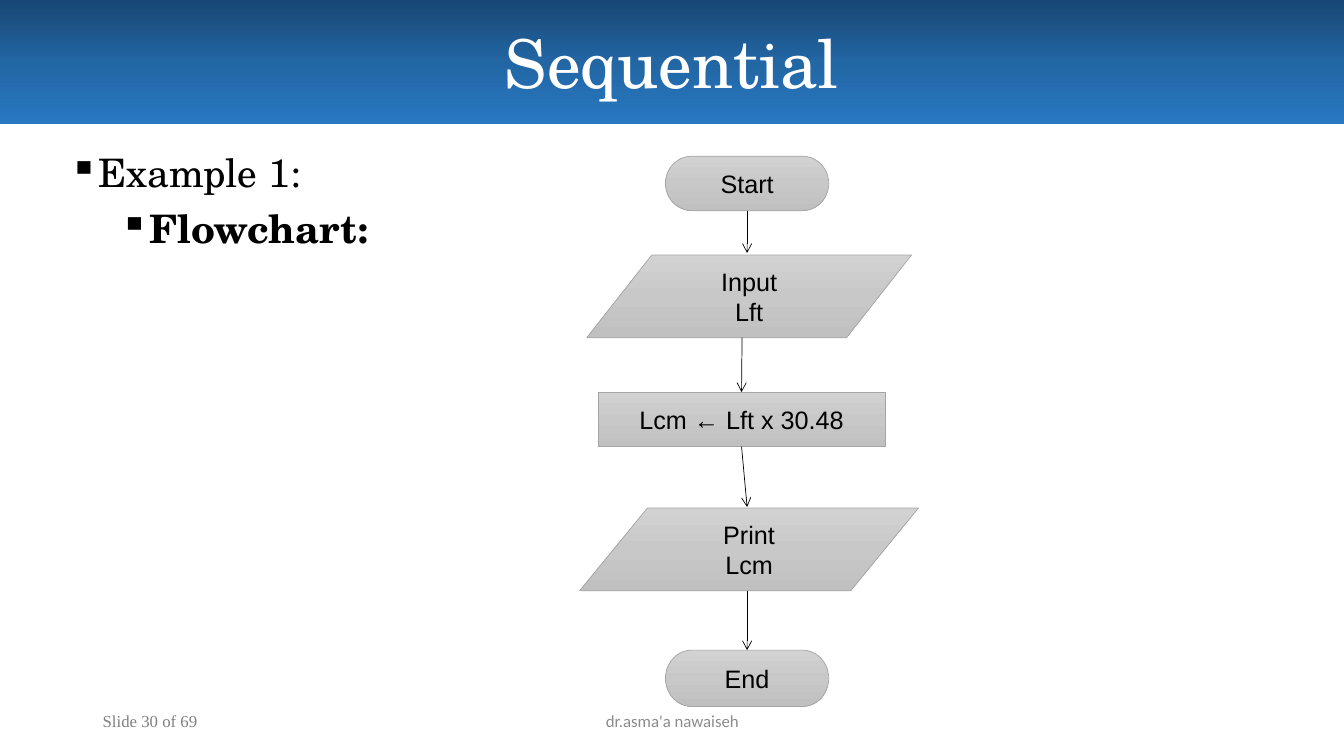
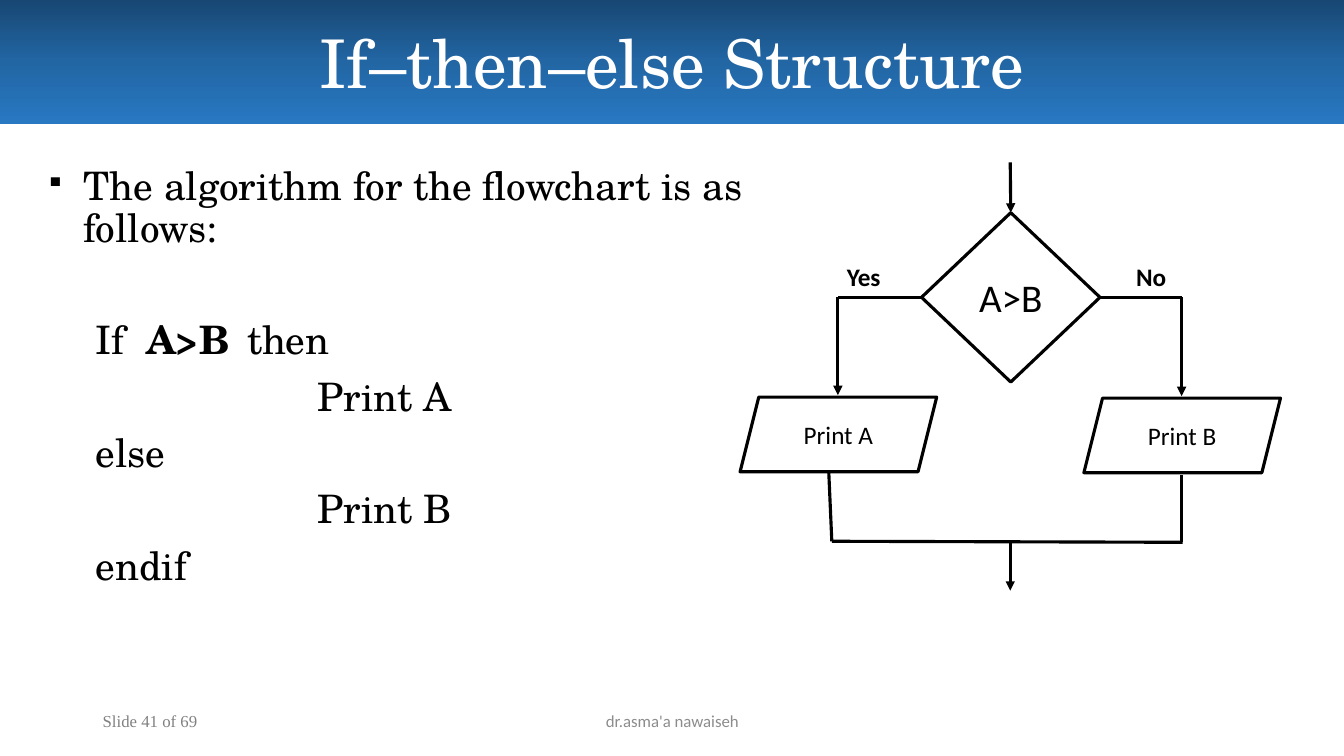
from pptx import Presentation
from pptx.dml.color import RGBColor
from pptx.enum.shapes import MSO_CONNECTOR, MSO_SHAPE as SHAPE
from pptx.enum.text import MSO_ANCHOR as ANCHOR, PP_ALIGN as ALIGN
from pptx.oxml.ns import qn
from pptx.util import Inches, Pt
from lxml.etree import SubElement

COLORS = {
    "black": "000000",
    "white": "FFFFFF",
    "number": "808080",
    "author": "8C8C8C",
    "grey_line": "A5A5A5",
}
BAND = ("184773", "2266A4", "2878C2")
GREY = ("D2D2D2", "C8C8C8", "C0C0C0")
SERIF = "TeX Gyre Schola"
TOP, LEFT, BOTTOM, RIGHT = range(4)


def rgb(name):
    """Return a palette colour."""
    return RGBColor.from_string(COLORS[name])


def add_run(p, text, font, size, color="black", bold=False):
    """Append one formatted run to a paragraph."""
    r = p.add_run()
    r.text = text
    r.font.name = font
    r.font.size = Pt(size)
    r.font.bold = bold
    r.font.color.rgb = rgb(color)


def write(sp, lines, font, size, color="black", bold=False,
          align=ALIGN.CENTER, anchor=ANCHOR.MIDDLE):
    """Fill a shape with one paragraph per line."""
    tf = sp.text_frame
    tf.word_wrap = True
    tf.vertical_anchor = anchor
    for i, line in enumerate(lines):
        p = tf.add_paragraph() if i else tf.paragraphs[0]
        p.alignment = align
        add_run(p, line, font, size, color, bold)


def add_text(s, box, *args, **kwargs):
    """Add a text box holding plain lines."""
    sp = s.shapes.add_textbox(*map(Inches, box))
    write(sp, *args, **kwargs)
    return sp


def add_box(s, kind, box, fill="white", line=None, width=0):
    """Add a shape with a plain fill or a three-stop vertical gradient."""
    sp = s.shapes.add_shape(kind, *map(Inches, box))
    sp.shadow.inherit = False
    if isinstance(fill, tuple):
        sp.fill.gradient()
        sp.fill.gradient_angle = 270
        stops = sp._element.spPr.find(qn("a:gradFill")).find(qn("a:gsLst"))
        for stop in list(stops):
            stops.remove(stop)
        for pos, color in zip((0, 50000, 100000), fill):
            stop = SubElement(stops, qn("a:gs"), pos=str(pos))
            SubElement(stop, qn("a:srgbClr"), val=color)
    else:
        sp.fill.solid()
        sp.fill.fore_color.rgb = rgb(fill)
    if line:
        sp.line.color.rgb = rgb(line)
        sp.line.width = Pt(width)
    else:
        sp.line.fill.background()
    return sp


def add_line(s, start, end, width, head=None, begin=None, finish=None):
    """Draw a line, optionally with an arrowhead and joined (shape, side) ends."""
    cx = s.shapes.add_connector(MSO_CONNECTOR.STRAIGHT, *map(Inches, start + end))
    if begin:
        cx.begin_connect(*begin)
    if finish:
        cx.end_connect(*finish)
    cx.line.color.rgb = rgb("black")
    cx.line.width = Pt(width)
    spPr = cx._element.spPr
    if head:
        SubElement(spPr.find(qn("a:ln")), qn("a:tailEnd"), type=head)
    SubElement(spPr, qn("a:effectLst"))


def style_paragraph(p, margin, indent=0, before=0, bullet_size=None, tabs=()):
    """Set spacing, indents, bullet and tab stops."""
    p.line_spacing = 0.9
    p.space_before = Pt(before)
    pPr = p._p.get_or_add_pPr()
    pPr.set("marL", str(Inches(margin)))
    pPr.set("indent", str(Inches(indent)))
    if bullet_size:
        SubElement(pPr, qn("a:buSzPct"), val=str(bullet_size * 1000))
        SubElement(pPr, qn("a:buChar"), char="▪")
    else:
        SubElement(pPr, qn("a:buNone"))
    if tabs:
        tab_list = SubElement(pPr, qn("a:tabLst"))
        for pos in tabs:
            SubElement(tab_list, qn("a:tab"), pos=str(Inches(pos)), algn="l")


def add_slide(prs, title, number):
    """Add a slide with its title band and footers."""
    s = prs.slides.add_slide(prs.slide_layouts[6])
    band = add_box(s, SHAPE.RECTANGLE, (0, 0, 13.33, 1.23), BAND)
    write(band, [title], SERIF, 48, "white")
    add_text(s, (0.92, 6.95, 3, 0.4), [f"Slide {number} of 69"],
             "Times New Roman", 12, "number", align=ALIGN.LEFT)
    add_text(s, (4.42, 6.95, 4.5, 0.4), ["dr.asma'a nawaiseh"],
             "Calibri", 12, "author")
    return s


def example_heading(s, box):
    """Place the two-level bulleted heading."""
    tf = s.shapes.add_textbox(*map(Inches, box)).text_frame
    tf.word_wrap = True
    p = tf.paragraphs[0]
    style_paragraph(p, 0.25, -0.25, bullet_size=100)
    add_run(p, "Example 1:", SERIF, 28)
    p = tf.add_paragraph()
    p.level = 1
    style_paragraph(p, 0.75, -0.25, before=10, bullet_size=100)
    add_run(p, "Flowchart:", SERIF, 28, bold=True)


def sequence_chart(s, x, y):
    """Draw the five-step flowchart from its top left corner."""
    steps = [
        (SHAPE.FLOWCHART_TERMINATOR, (0.85, 0, 1.62, 0.54), ["Start"]),
        (SHAPE.FLOWCHART_DATA, (0.07, 0.98, 3.22, 0.82), ["Input", "Lft"]),
        (SHAPE.FLOWCHART_PROCESS, (0.18, 2.34, 2.85, 0.54), ["Lcm ← Lft x 30.48"]),
        (SHAPE.FLOWCHART_DATA, (0, 3.49, 3.36, 0.82), ["Print", "Lcm"]),
        (SHAPE.FLOWCHART_TERMINATOR, (0.85, 4.9, 1.62, 0.56), ["End"]),
    ]
    shapes = []
    for kind, (dx, dy, w, h), lines in steps:
        sp = add_box(s, kind, (x + dx, y + dy, w, h), GREY, "grey_line", 0.5)
        write(sp, lines, "Arial", 18)
        shapes.append(sp)
    start, _, process, _, end = shapes
    arrows = [
        ((1.66, 0.54), (1.66, 0.96), (start, BOTTOM), None),
        ((1.61, 1.8), (1.61, 2.34), None, (process, TOP)),
        ((1.61, 2.88), (1.66, 3.48), (process, BOTTOM), None),
        ((1.66, 4.31), (1.66, 4.9), None, (end, TOP)),
    ]
    for (x1, y1), (x2, y2), begin, finish in arrows:
        add_line(s, (x + x1, y + y1), (x + x2, y + y2), 0.5, "arrow", begin, finish)


def algorithm(s, box):
    """Place the introduction and the pseudocode."""
    tf = s.shapes.add_textbox(*map(Inches, box)).text_frame
    tf.word_wrap = True
    tf.margin_left = tf.margin_right = tf.margin_bottom = 0
    tf.margin_top = Inches(0.01)
    p = tf.paragraphs[0]
    style_paragraph(p, 0.38, -0.38, bullet_size=69)
    add_run(p, "The algorithm for the flowchart is as follows:", SERIF, 28)
    p = tf.add_paragraph()
    style_paragraph(p, 0, 0.5, before=50, tabs=(1.21, 2.5))
    for text, bold in (("If\t", False), ("A>B\t", True), ("then", False)):
        add_run(p, text, SERIF, 28, bold=bold)
    for text, margin in (("Print A", 2.7), ("else", 0.5),
                         ("Print B", 2.7), ("endif", 0.5)):
        p = tf.add_paragraph()
        style_paragraph(p, margin, before=10)
        add_run(p, text, SERIF, 28)


def decision_chart(s, x, y):
    """Draw the two-way decision from its top left corner."""
    def line(start, end, head=None, **ends):
        """Draw a heavy line given relative to the chart."""
        (x1, y1), (x2, y2) = start, end
        add_line(s, (x + x1, y + y1), (x + x2, y + y2), 2.25, head, **ends)

    test = add_box(s, SHAPE.FLOWCHART_DECISION, (x + 1.8, y + 0.5, 1.77, 1.68),
                   line="black", width=2.25)
    write(test, ["A>B"], "Calibri", 28)
    branches = [
        ("Yes", "Print A", 0, 2.33, 0.96, LEFT, 1.8, 0.97, (0.88, 3.07), (0.91, 3.76)),
        ("No", "Print B", 3.41, 2.34, 3.83, RIGHT, 3.57, 4.38, (4.38, 3.1), (4.38, 3.77)),
    ]
    for label, action, dx, dy, label_x, side, corner, turn, leave, meet in branches:
        line((corner, 1.34), (turn, 1.34), begin=(test, side))
        line((turn, 1.34), (turn, dy - 0.02), "triangle")
        sp = add_box(s, SHAPE.PARALLELOGRAM, (x + dx, y + dy, 1.95, 0.74),
                     line="black", width=2.25)
        write(sp, [action], "Calibri", 18)
        line(leave, meet)
        add_text(s, (x + label_x, y + 0.93, 0.58, 0.4), [label], "Calibri", 18,
                 bold=True, align=ALIGN.LEFT, anchor=ANCHOR.TOP)
    line((4.39, 3.77), (0.91, 3.76))
    line((2.68, 3.76), (2.68, 4.25), "triangle")
    line((2.68, 0), (2.68, 0.5), "triangle", finish=(test, TOP))


def main():
    """Build and save both slides."""
    prs = Presentation()
    prs.slide_width, prs.slide_height = Inches(13.33), Inches(7.5)
    s = add_slide(prs, "Sequential", 30)
    example_heading(s, (0.59, 1.47, 4.73, 1.59))
    sequence_chart(s, 5.75, 1.55)
    s = add_slide(prs, "If–then–else Structure", 41)
    algorithm(s, (0.45, 1.64, 6.99, 4.25))
    decision_chart(s, 7.34, 1.61)
    prs.save("out.pptx")


if __name__ == "__main__":
    main()
